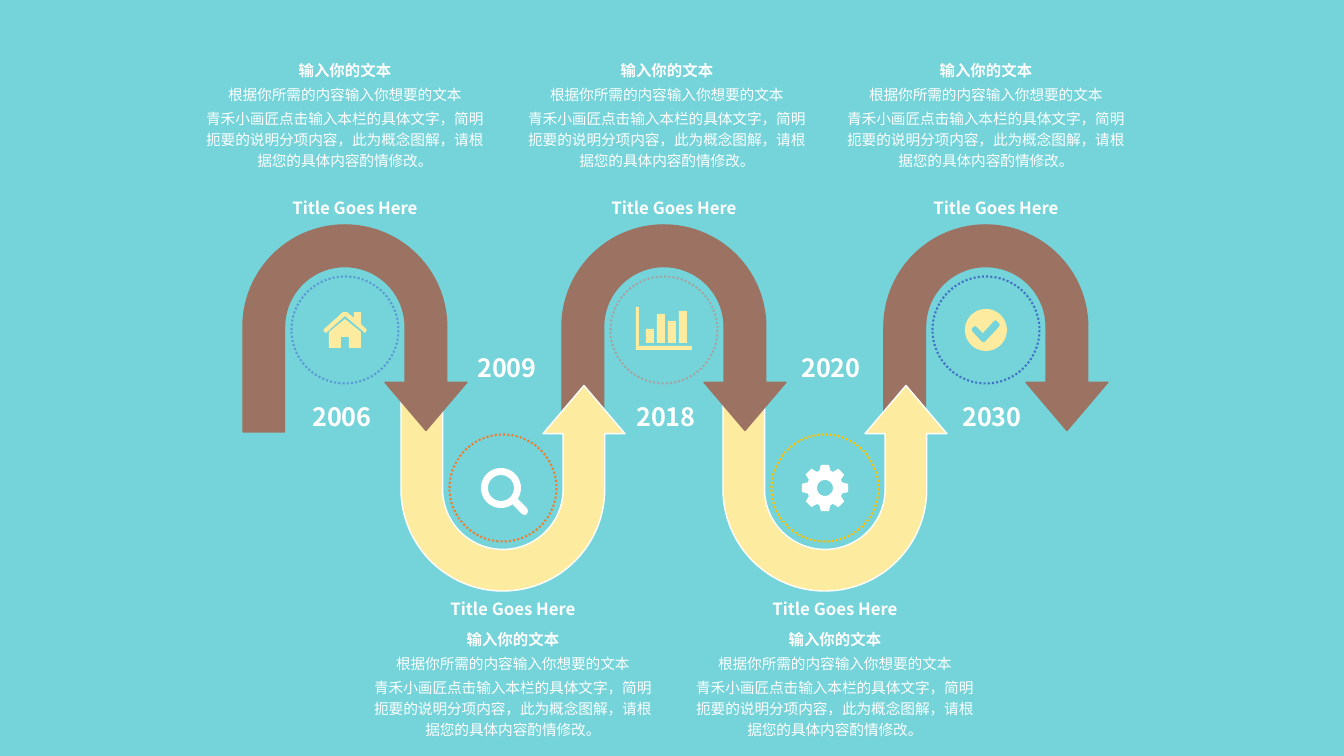
from math import cos, radians, sin

from lxml.etree import SubElement
from pptx import Presentation
from pptx.dml.color import RGBColor
from pptx.enum.dml import MSO_LINE as Dash
from pptx.enum.shapes import MSO_SHAPE as Preset
from pptx.enum.text import MSO_ANCHOR as Anchor, MSO_AUTO_SIZE as Fit, PP_ALIGN as Align
from pptx.oxml.ns import qn
from pptx.util import Emu, Pt

FONT = "Noto Sans CJK SC"
SKY = RGBColor(0x74, 0xD4, 0xD9)
BROWN = RGBColor(0x9C, 0x72, 0x63)
CREAM = RGBColor(0xFD, 0xEC, 0xA0)
WHITE = RGBColor(0xFF, 0xFF, 0xFF)
BLUE = RGBColor(0x5B, 0x9B, 0xD5)
ORANGE = RGBColor(0xED, 0x7D, 0x31)
GRAY = RGBColor(0xA5, 0xA5, 0xA5)
GOLD = RGBColor(0xFF, 0xC0, 0x00)
NAVY = RGBColor(0x44, 0x72, 0xC4)

TITLE = "Title Goes Here"
BODY = [
    ("输入你的文本", 11, True),
    ("根据你所需的内容输入你想要的文本", 10.5, False),
    ("青禾小画匠点击输入本栏的具体文字，简明扼要的说明分项内容，"
     "此为概念图解，请根据您的具体内容酌情修改。", 10.5, False),
]
# year, arrow left, year centre, body centre, ring colour, icon, icon colour
STEPS = [
    ("2006", 243, 342, 345, BLUE, "home", CREAM),
    ("2009", 401, 507, 513, ORANGE, "lens", WHITE),
    ("2018", 562, 666, 667, GRAY, "bars", CREAM),
    ("2020", 723, 831, 835, GOLD, "gear", WHITE),
    ("2030", 884, 992, 986, NAVY, "tick", CREAM),
]
# arrow top, ring centre, year centre, title top, body top
ROWS = [(225, 330, 416, 198, 51), (384, 488, 367, 599, 620)]
BEND = [0.201, 0.198, 0.233, 0.493, 0.993]
ARROW_W, ARROW_H = 224, 207
RING = 107


def px(n):
    return Emu(round(n * 914400 / 100.8))


def polar(r, deg, x=0, y=0):
    return x + r * cos(radians(deg)), y + r * sin(radians(deg))


def arc(r, x=0, y=0, start=0, stop=360, count=48):
    step = (stop - start) / count
    return [polar(r, start + i * step, x, y) for i in range(count + 1)]


def bar(left, top, wide=8, base=13):
    return [(left, top), (left + wide, top), (left + wide, base), (left, base)]


# Outlines in px from the ring centre
ICONS = {
    "home": [
        [(20, 3), (0, -14), (-19, 3), (-22, 0), (-2, -18), (2, -18), (9, -12),
         (9, -18), (16, -18), (16, -6), (22, 0)],
        [(16, 18), (4, 18), (4, 7), (-4, 7), (-4, 18), (-16, 18), (-16, 2),
         (0, -11), (16, 2)],
    ],
    "lens": [
        arc(20, -2, 0, 55, 393) + [(24, 20), (25, 23), (24, 26), (22, 27), (19, 26)],
        arc(13, -2),
    ],
    "bars": [[(28, 20), (-28, 20), (-28, -23), (-25, -23), (-25, 16), (28, 16)]]
    + [bar(-18 + 11 * i, top) for i, top in enumerate([-1, -16, -9, -19])],
    "gear": [
        [polar(r, 45 * i + turn) for i in range(8)
         for r, turn in [(18, -18), (23.5, -10), (23.5, 10), (18, 18)]],
        arc(8),
    ],
    "tick": [
        arc(21),
        [(13, -7), (10, -10), (8, -9), (-3, 3), (-9, -3), (-11, -4), (-14, -2),
         (-14, 1), (-4, 12), (-1, 12), (13, -3), (14, -5)],
    ],
}


def add_arrow(shapes, left, top, low):
    arrow = shapes.add_shape(Preset.U_TURN_ARROW, px(left), px(top),
                             px(ARROW_W), px(ARROW_H))
    for i, value in enumerate(BEND):
        arrow.adjustments[i] = value
    arrow.shadow.inherit = False
    arrow.fill.solid()
    arrow.fill.fore_color.rgb = CREAM if low else BROWN
    arrow.line.color.rgb = WHITE if low else BROWN
    arrow.line.width = Pt(1)
    if low:
        arrow.rotation = 180
        arrow._element.spPr.xfrm.set("flipH", "1")


def add_ring(shapes, x, y, color):
    ring = shapes.add_shape(Preset.OVAL, px(x - RING / 2), px(y - RING / 2),
                            px(RING), px(RING))
    ring.shadow.inherit = False
    ring.fill.background()
    ring.line.color.rgb = color
    ring.line.width = Pt(1.5)
    ring.line.dash_style = Dash.ROUND_DOT


def add_icon(shapes, x, y, loops, color):
    loops = [[(px(x + dx), px(y + dy)) for dx, dy in loop] for loop in loops]
    pen = shapes.build_freeform(*loops[0][0])
    pen.add_line_segments(loops[0][1:])
    for loop in loops[1:]:
        pen.move_to(*loop[0])
        pen.add_line_segments(loop[1:])
    icon = pen.convert_to_shape()
    icon.shadow.inherit = False
    icon.fill.solid()
    icon.fill.fore_color.rgb = color
    icon.line.fill.background()


def add_text(shapes, x, top, wide, high, lines, pad=(0, 0), wrap=True):
    """Centre the lines on x and return the text frame."""
    frame = shapes.add_textbox(px(x - wide / 2), px(top), px(wide), px(high)).text_frame
    frame.word_wrap = wrap
    frame.auto_size = Fit.SHAPE_TO_FIT_TEXT
    frame.vertical_anchor = Anchor.MIDDLE
    frame.margin_left = frame.margin_right = px(pad[0])
    frame.margin_top = frame.margin_bottom = px(pad[1])
    frame.text = "\n".join(text for text, _, _ in lines)
    for para, (_, size, bold) in zip(frame.paragraphs, lines):
        para.alignment = Align.CENTER
        font = para.font
        font.size, font.bold, font.name = Pt(size), bold, FONT
        font.color.rgb = WHITE
        props = para._p.pPr.find(qn("a:defRPr"))
        SubElement(props, qn("a:ea")).set("typeface", FONT)
    return frame


def add_body(shapes, x, top):
    frame = add_text(shapes, x, top, 303, 127, BODY, pad=(12, 6))
    frame.vertical_anchor = Anchor.TOP
    for para in frame.paragraphs:
        para.line_spacing = 1.2
        para.space_before = Pt(2.1)


def main():
    deck = Presentation()
    deck.slide_width, deck.slide_height = px(1344), px(756)
    slide = deck.slides.add_slide(deck.slide_layouts[6])
    slide.background.fill.solid()
    slide.background.fill.fore_color.rgb = SKY
    shapes = slide.shapes

    # Later arrows lie beneath earlier ones
    for i, step in reversed(list(enumerate(STEPS))):
        add_arrow(shapes, step[1], ROWS[i % 2][0], i % 2)
    for i, (year, left, year_x, body_x, tint, icon, color) in enumerate(STEPS):
        _, mid, year_y, title_y, body_y = ROWS[i % 2]
        x = left + 102
        add_ring(shapes, x, mid, tint)
        add_icon(shapes, x, mid, ICONS[icon], color)
        add_text(shapes, year_x, year_y - 15, 62, 30, [(year, 18, True)], wrap=False)
        add_text(shapes, x + 10, title_y, 182, 20, [(TITLE, 12, True)])
        add_body(shapes, body_x, body_y)
    deck.save("out.pptx")


if __name__ == "__main__":
    main()
